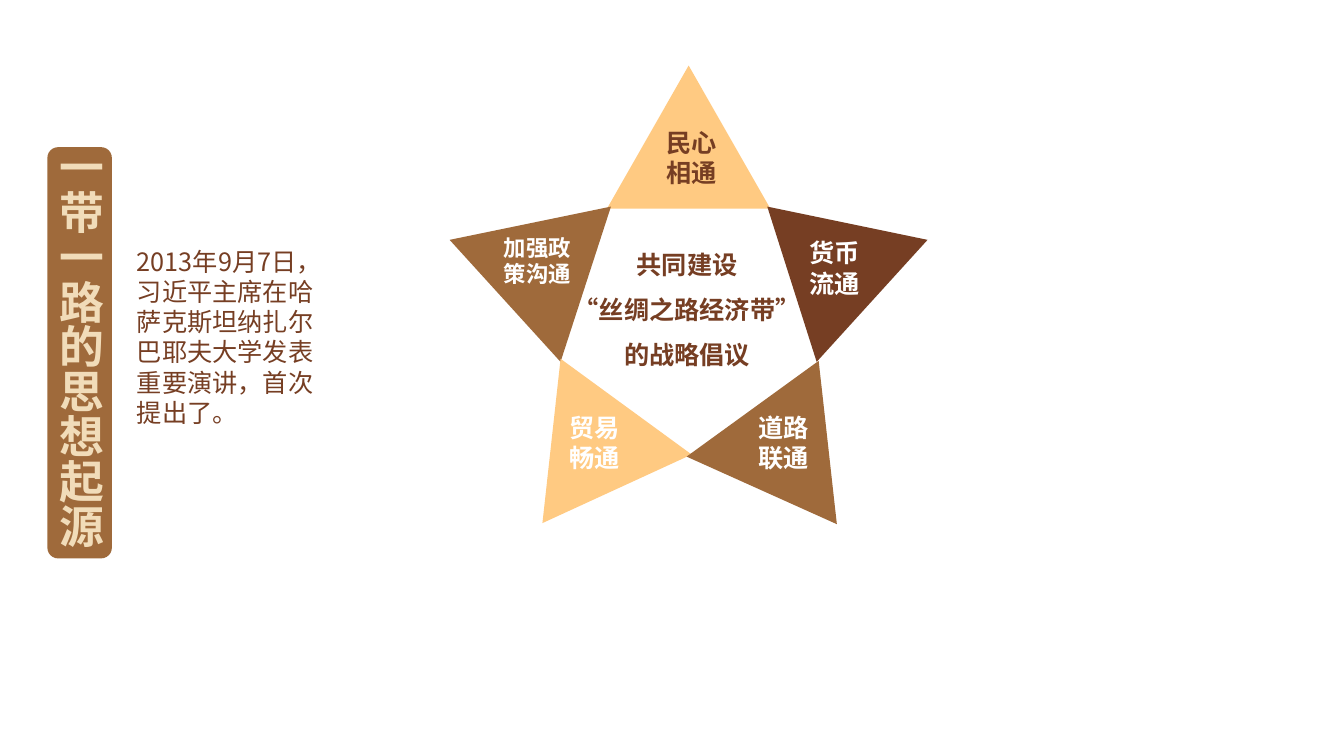
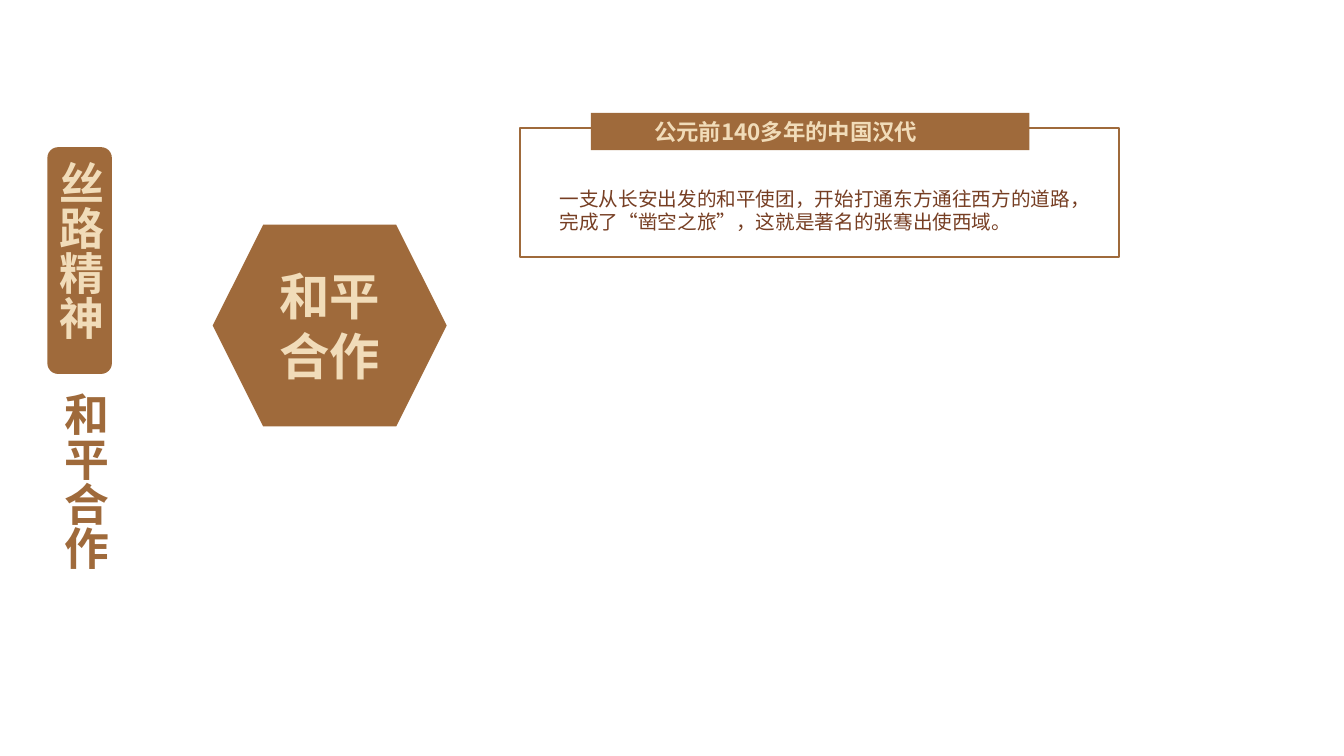
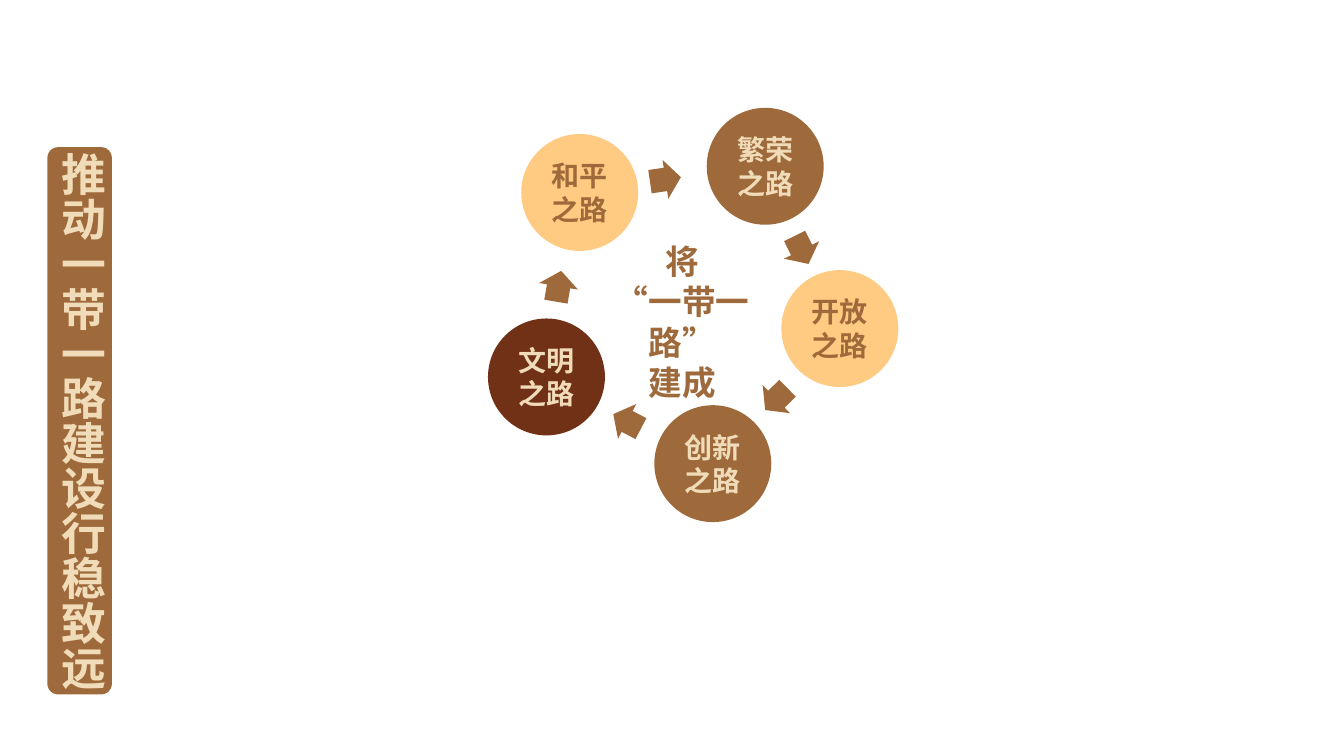
from lxml import etree
from pptx import Presentation
from pptx.dml.color import RGBColor
from pptx.enum.shapes import MSO_SHAPE
from pptx.enum.text import MSO_ANCHOR, MSO_AUTO_SIZE, PP_ALIGN
from pptx.util import Inches, Pt

LEFT, CENTER = PP_ALIGN.LEFT, PP_ALIGN.CENTER
TOP, MIDDLE = MSO_ANCHOR.TOP, MSO_ANCHOR.MIDDLE
GROW, FIXED = MSO_AUTO_SIZE.SHAPE_TO_FIT_TEXT, MSO_AUTO_SIZE.NONE
RECTANGLE, ROUNDED = MSO_SHAPE.RECTANGLE, MSO_SHAPE.ROUNDED_RECTANGLE
HEXAGON, OVAL, ARROW = MSO_SHAPE.HEXAGON, MSO_SHAPE.OVAL, MSO_SHAPE.RIGHT_ARROW

DRAWING = "{http://schemas.openxmlformats.org/drawingml/2006/main}"
FONT = "Noto Sans CJK SC"
BROWN, DARK, RUST = "9F6A3B", "763E23", "703116"
GOLD, CREAM, WHITE = "FFCA82", "F1DCB9", "FFFFFF"
TITLE_ONLY = 5
TIGHT = (0.08, 0.04, 0.08, 0.04)
BAND_LEFT, BAND_TOP, BAND_WIDTH = 0.47, 1.46, 0.64

# Title, band height, place of the title text
TITLES = [
    ("一带一路的思想起源", 4.08, (0.42, 1.39, 0.74, 4.14)),
    ("丝路精神", 2.25, (0.42, 1.55, 0.74, 1.9)),
    ("推动一带一路建设行稳致远", 5.43, (0.44, 1.46, 0.74, 5.49)),
]

# Fill, corners, label, label colour, label size, label place
STAR_POINTS = [
    (GOLD, [(7.64, 2.07), (6.83, 0.65), (6.02, 2.07)],
     "民心相通", DARK, 18, (6.51, 1.21, 0.92, 0.71)),
    (BROWN, [(6.06, 2.05), (4.46, 2.38), (5.56, 3.59)],
     "加强政策沟通", WHITE, 16, (4.9, 2.27, 1.05, 0.64)),
    (GOLD, [(5.56, 3.56), (5.38, 5.19), (6.86, 4.51)],
     "贸易畅通", WHITE, 18, (5.55, 4.04, 0.8, 0.71)),
    (BROWN, [(6.81, 4.53), (8.3, 5.2), (8.12, 3.58)],
     "道路联通", WHITE, 18, (7.42, 4.04, 0.92, 0.71)),
    (DARK, [(8.1, 3.59), (9.2, 2.38), (7.61, 2.05)],
     "货币流通", WHITE, 18, (7.93, 2.31, 0.75, 0.71)),
]
STAR_CENTER = ["共同建设", "“丝绸之路经济带”", "的战略倡议"]
SPEECH = "2013年9月7日，习近平主席在哈萨克斯坦纳扎尔巴耶夫大学发表重要演讲，首次提出了。"

SPIRIT = "和平合作"
ERA = "公元前140多年的中国汉代"
MISSION = "一支从长安出发的和平使团，开始打通东方通往西方的道路，完成了“凿空之旅”，这就是著名的张骞出使西域。"

# Label, fill, text colour, circle centre, centre of the arrow that follows
ROADS = [
    ("和平之路", GOLD, BROWN, (5.75, 1.91), (6.6, 1.78)),
    ("繁荣之路", BROWN, CREAM, (7.59, 1.65), (7.95, 2.48)),
    ("开放之路", GOLD, BROWN, (8.33, 3.26), (7.7, 3.96)),
    ("创新之路", BROWN, CREAM, (7.07, 4.6), (6.22, 4.18)),
    ("文明之路", RUST, CREAM, (5.42, 3.74), (5.54, 2.84)),
]
ROAD_GOAL = ["将", "“一带一路”", "建成"]
CIRCLE_SIZE = 1.16
ARROW_WIDTH, ARROW_HEIGHT = 0.31, 0.39
FIRST_ARROW_ANGLE = 351.7


def color(hex_string):
    return RGBColor.from_string(hex_string)


def place(shape, box):
    shape.left, shape.top, shape.width, shape.height = map(Inches, box)


def around(center, width, height):
    """Box of the given size centred on a point."""
    return center[0] - width / 2, center[1] - height / 2, width, height


def write(shape, lines, size, text_color, bold=True, align=LEFT, anchor=TOP,
          spacing=1.0, insets=(0.1, 0.05, 0.1, 0.05), wrap=True, fit=FIXED):
    frame = shape.text_frame
    frame.text = "\n".join(lines)
    frame.word_wrap = wrap
    frame.auto_size = fit
    frame.vertical_anchor = anchor
    (frame.margin_left, frame.margin_top,
     frame.margin_right, frame.margin_bottom) = map(Inches, insets)
    for paragraph in frame.paragraphs:
        paragraph.alignment = align
        paragraph.line_spacing = spacing
        font = paragraph.font
        font.size, font.bold, font.name = Pt(size), bold, FONT
        font.color.rgb = color(text_color)
    for properties in shape.element.iter(DRAWING + "defRPr"):
        etree.SubElement(properties, DRAWING + "ea", typeface=FONT)


def add_text(slide, box, lines, size, text_color, **style):
    shape = slide.shapes.add_textbox(*map(Inches, box))
    write(shape, lines, size, text_color, fit=GROW, **style)
    return shape


def paint(shape, fill):
    shape.shadow.inherit = False
    shape.fill.solid()
    shape.fill.fore_color.rgb = color(fill)
    shape.line.fill.background()


def add_filled(slide, kind, box, fill):
    shape = slide.shapes.add_shape(kind, *map(Inches, box))
    paint(shape, fill)
    return shape


def make_vertical(shape):
    body = next(shape.element.iter(DRAWING + "bodyPr"))
    body.set("vert", "eaVert")


def add_titled_slide(presentation, text, band_height, title_box):
    slide = presentation.slides.add_slide(presentation.slide_layouts[TITLE_ONLY])
    title = slide.shapes.title
    place(title, title_box)
    write(title, [text], 32, CREAM, wrap=False)
    make_vertical(title)
    band = add_filled(slide, ROUNDED,
                      (BAND_LEFT, BAND_TOP, BAND_WIDTH, band_height), BROWN)
    title.element.addprevious(band.element)
    return slide


def build_star(slide):
    for fill, corners, *_ in STAR_POINTS:
        start, *others = [tuple(map(Inches, corner)) for corner in corners]
        outline = slide.shapes.build_freeform(*start)
        outline.add_line_segments(others, close=True)
        paint(outline.convert_to_shape(), fill)
    add_text(slide, (5.58, 2.27, 2.47, 1.41), STAR_CENTER, 18, DARK,
             align=CENTER, spacing=1.5, wrap=False)
    add_text(slide, (1.26, 2.39, 2.17, 2.22), [SPEECH], 18, DARK, bold=False)
    for _, _, label, text_color, size, box in STAR_POINTS:
        add_text(slide, box, [label], size, text_color)


def build_spirit(slide):
    frame = slide.shapes.add_shape(RECTANGLE, *map(Inches, (5.16, 1.27, 5.94, 1.28)))
    frame.shadow.inherit = False
    frame.fill.background()
    frame.line.color.rgb = color(BROWN)
    frame.line.width = Pt(1.5)
    heading = add_filled(slide, RECTANGLE, (5.86, 1.12, 4.35, 0.37), BROWN)
    write(heading, [ERA], 16, CREAM, anchor=MIDDLE, insets=(0.63, 0.04, 0.08, 0.04))
    hexagon = add_filled(slide, HEXAGON, (2.11, 2.23, 2.32, 2), BROWN)
    write(hexagon, [SPIRIT], 36, CREAM, align=CENTER, anchor=MIDDLE, insets=TIGHT)
    add_text(slide, (5.47, 1.81, 5.33, 0.55), [MISSION], 14, DARK,
             bold=False, insets=TIGHT)
    subtitle = add_text(slide, (0.42, 3.79, 0.74, 1.9), [SPIRIT], 32, BROWN, wrap=False)
    make_vertical(subtitle)


def build_road_cycle(slide):
    for index, (label, fill, text_color, center, arrow_center) in enumerate(ROADS):
        arrow = add_filled(slide, ARROW,
                           around(arrow_center, ARROW_WIDTH, ARROW_HEIGHT), BROWN)
        arrow.adjustments[0], arrow.adjustments[1] = 0.6, 0.5
        arrow.rotation = (FIRST_ARROW_ANGLE + index * 360 / len(ROADS)) % 360
        circle = add_filled(slide, OVAL, around(center, CIRCLE_SIZE, CIRCLE_SIZE), fill)
        write(circle, [label], 20, text_color, align=CENTER, anchor=MIDDLE)
    add_text(slide, (5.71, 2.34, 2.11, 1.31), ROAD_GOAL, 24, BROWN, align=CENTER)


def main():
    presentation = Presentation()
    presentation.slide_width, presentation.slide_height = Inches(13.33), Inches(7.5)
    for title, build in zip(TITLES, (build_star, build_spirit, build_road_cycle)):
        build(add_titled_slide(presentation, *title))
    presentation.save("out.pptx")


if __name__ == "__main__":
    main()
